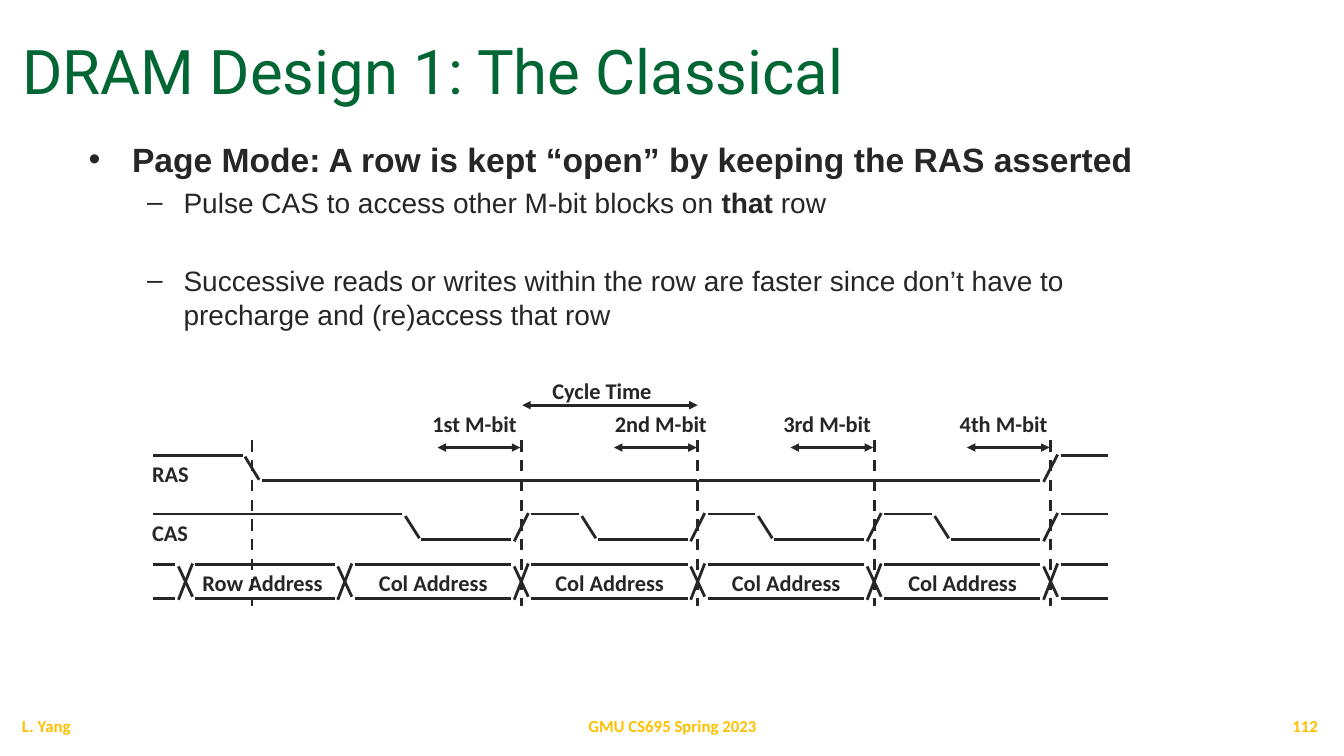
"""Build the DRAM page mode slide with its RAS, CAS and address timing diagram."""
from typing import NamedTuple

from lxml import etree
from pptx import Presentation
from pptx.dml.color import RGBColor
from pptx.enum.dml import MSO_LINE
from pptx.enum.shapes import MSO_CONNECTOR
from pptx.enum.text import MSO_ANCHOR, MSO_AUTO_SIZE, PP_ALIGN
from pptx.oxml.ns import qn
from pptx.util import Inches, Pt

STRAIGHT = MSO_CONNECTOR.STRAIGHT
DASH = MSO_LINE.DASH
LEFT, CENTER, RIGHT = PP_ALIGN.LEFT, PP_ALIGN.CENTER, PP_ALIGN.RIGHT
INK, GREEN, GOLD = "262626", "006633", "FFC000"

START, END = 1.52, 10.99
PERIOD = 1.75
EDGES = [round(5.17 + PERIOD * cycle, 2) for cycle in range(4)]
ROW_EDGE, LAST_EDGE = 2.5, EDGES[-1]
RAS_HIGH, RAS_LOW = 4.52, 4.77
CAS_HIGH, CAS_LOW = 5.1, 5.35
ADDRESS_TOP, ADDRESS_BOTTOM = 5.6, 5.94


class Segment(NamedTuple):
    x1: float
    y1: float
    x2: float
    y2: float
    dashed: bool = False
    arrows: bool = False


class Label(NamedTuple):
    text: str
    left: float
    top: float
    width: float


class Bullet(NamedTuple):
    spans: list[tuple[str, bool]]
    mark: str
    level: int
    size: int
    margin: float
    hang: float
    before: float


class Footer(NamedTuple):
    text: str
    left: float
    width: float
    align: PP_ALIGN


BULLETS = [
    Bullet([("Page Mode: A row is kept “open” by keeping the RAS asserted", True)],
           "•", 0, 24, 0.43, 0.43, 0),
    Bullet([("Pulse CAS to access other M-bit blocks on ", False), ("that", True), (" row", False)],
           "–", 1, 20, 0.94, 0.36, 4),
    Bullet([("Successive reads or writes within the row are faster since don’t have to "
             "precharge and (re)access that row", False)],
           "–", 1, 20, 0.94, 0.36, 32),
]
FOOTERS = [
    Footer("L. Yang", 0.12, 3, LEFT),
    Footer("GMU CS695 Spring 2023", 4.42, 4.5, CENTER),
    Footer("112", 10.17, 3, RIGHT),
]
LABELS = [
    Label("RAS", 1.41, RAS_HIGH, 0.57),
    Label("CAS", 1.41, CAS_HIGH, 0.56),
    Label("Row Address", 1.91, ADDRESS_TOP, 1.41),
    *(Label("Col Address", edge - 1.51, ADDRESS_TOP, 1.29) for edge in EDGES),
    Label("1st M-bit", 4.19, 4.02, 1.05),
    Label("2nd M-bit", 6, 4.02, 1.12),
    Label("3rd M-bit", 7.67, 4.02, 1.08),
    Label("4th M-bit", 9.42, 4.02, 1.08),
]


def color(code: str) -> RGBColor:
    return RGBColor.from_string(code)


def style(font, name: str, size: float, code: str, bold: bool | None = None) -> None:
    font.name, font.size, font.bold = name, Pt(size), bold
    font.color.rgb = color(code)


def place(shape, left: float, top: float, width: float, height: float) -> None:
    shape.left, shape.top = Inches(left), Inches(top)
    shape.width, shape.height = Inches(width), Inches(height)


def level_line(x1: float, x2: float, y: float) -> Segment:
    return Segment(x1, y, x2, y)


def ras_segments() -> list[Segment]:
    return [
        level_line(START, 2.41, RAS_HIGH),
        Segment(2.43, 4.53, 2.57, 4.76),
        level_line(2.6, 6.91, RAS_LOW),
        level_line(6.93, LAST_EDGE - 0.1, RAS_LOW),
        Segment(LAST_EDGE - 0.07, 4.78, LAST_EDGE + 0.07, 4.51),
        level_line(LAST_EDGE + 0.1, END, RAS_HIGH),
    ]


def cas_segments() -> list[Segment]:
    segments = [level_line(LAST_EDGE + 0.1, END, CAS_HIGH)]
    for edge in EDGES:
        high_start = START if edge == EDGES[0] else edge - 1.65
        segments += [
            level_line(high_start, edge - 1.18, CAS_HIGH),
            Segment(edge - 1.15, 5.12, edge - 1.01, 5.34),
            level_line(edge - 0.99, edge - 0.1, CAS_LOW),
            Segment(edge - 0.07, 5.37, edge + 0.07, 5.09),
        ]
    return segments


def address_segments() -> list[Segment]:
    spans = [(START, 1.74), (1.93, 3.32), (LAST_EDGE + 0.1, END)]
    spans += [(edge - 1.65, edge - 0.1) for edge in EDGES]
    segments = [level_line(x1, x2, y) for x1, x2 in spans for y in (ADDRESS_TOP, ADDRESS_BOTTOM)]
    for middle in (1.84, 3.42, *EDGES):
        left, right = middle - 0.07, middle + 0.07
        segments += [Segment(left, 5.62, right, 5.92), Segment(left, 5.95, right, 5.59)]
    return segments


def marker_segments() -> list[Segment]:
    guides = [Segment(x, 4.37, x, 6.01, dashed=True) for x in (ROW_EDGE, *EDGES)]
    return guides + [Segment(x - 0.83, 4.44, x - 0.01, 4.44, arrows=True) for x in EDGES]


def draw_segment(shapes, segment: Segment) -> None:
    connector = shapes.add_connector(
        STRAIGHT, Inches(segment.x1), Inches(segment.y1), Inches(segment.x2), Inches(segment.y2))
    connector.line.width = Pt(2)
    connector.line.color.rgb = color(INK)
    if segment.dashed:
        connector.line.dash_style = DASH
    properties = connector._element.spPr
    if segment.arrows:
        outline = properties.find(qn("a:ln"))
        for end in ("a:headEnd", "a:tailEnd"):
            etree.SubElement(outline, qn(end), type="triangle")
    etree.SubElement(properties, qn("a:effectLst"))


def draw_label(shapes, label: Label) -> None:
    box = shapes.add_textbox(
        Inches(label.left), Inches(label.top), Inches(label.width), Inches(0.37))
    box.text_frame.word_wrap = False
    box.text_frame.auto_size = MSO_AUTO_SIZE.SHAPE_TO_FIT_TEXT
    para = box.text_frame.paragraphs[0]
    para.text = label.text
    style(para.font, "Calibri", 16, INK, True)


def draw_group(page, segments: list[Segment], labels: list[Label]) -> None:
    shapes = page.shapes.add_group_shape().shapes
    for segment in segments:
        draw_segment(shapes, segment)
    for label in labels:
        draw_label(shapes, label)


def fill_title(title) -> None:
    place(title, 0.12, 0.17, 13.05, 0.95)
    title.text_frame.vertical_anchor = MSO_ANCHOR.BOTTOM
    title.text_frame.auto_size = MSO_AUTO_SIZE.NONE
    para = title.text_frame.paragraphs[0]
    para.text = "DRAM Design 1: The Classical"
    para.alignment, para.line_spacing = LEFT, 0.9
    style(para.font, "Roboto", 44, GREEN)


def fill_body(body) -> None:
    place(body, 0.78, 1.33, 11.13, 2.31)
    frame = body.text_frame
    frame.auto_size = MSO_AUTO_SIZE.NONE
    for index, bullet in enumerate(BULLETS):
        para = frame.add_paragraph() if index else frame.paragraphs[0]
        para.level, para.space_before = bullet.level, Pt(bullet.before)
        properties = para._p.get_or_add_pPr()
        properties.set("marL", str(Inches(bullet.margin)))
        properties.set("indent", str(-Inches(bullet.hang)))
        etree.SubElement(properties, qn("a:buFont"), typeface="Arial")
        etree.SubElement(properties, qn("a:buChar"), char=bullet.mark)
        style(para.font, "Arial", bullet.size, INK)
        for text, bold in bullet.spans:
            span = para.add_run()
            span.text, span.font.bold = text, bold


def draw_footer(page, footer: Footer) -> None:
    box = page.shapes.add_textbox(
        Inches(footer.left), Inches(7), Inches(footer.width), Inches(0.4))
    box.text_frame.word_wrap = True
    box.text_frame.vertical_anchor = MSO_ANCHOR.MIDDLE
    para = box.text_frame.paragraphs[0]
    para.text, para.alignment = footer.text, footer.align
    style(para.font, "Calibri", 12, GOLD, True)


def main() -> None:
    deck = Presentation()
    deck.slide_width, deck.slide_height = Inches(13.33), Inches(7.5)
    page = deck.slides.add_slide(deck.slide_layouts[1])
    fill_title(page.shapes.title)
    fill_body(page.placeholders[1])
    timing = ras_segments() + cas_segments() + address_segments() + marker_segments()
    draw_group(page, timing, LABELS)
    draw_group(page, [Segment(5.18, 4.02, 6.92, 4.02, arrows=True)],
               [Label("Cycle Time", 5.38, 3.69, 1.19)])
    for footer in FOOTERS:
        draw_footer(page, footer)
    deck.save("out.pptx")


if __name__ == "__main__":
    main()
